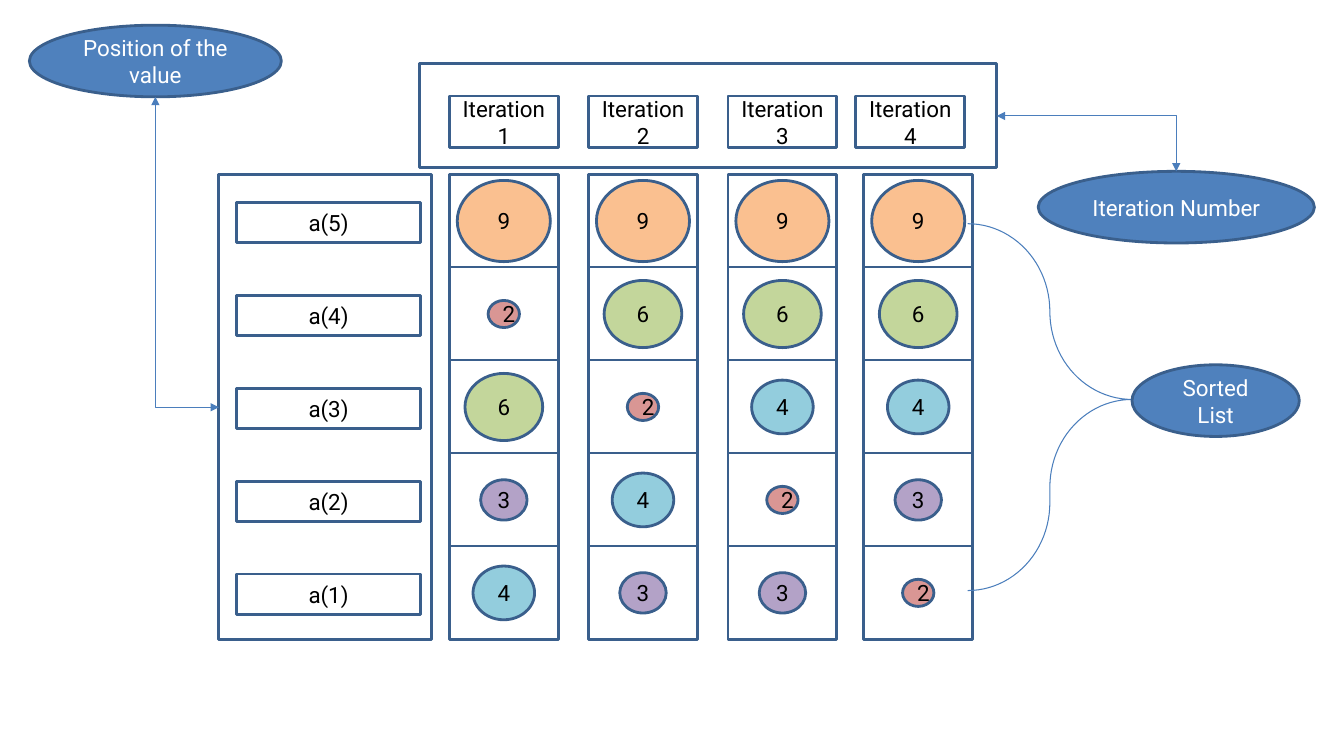
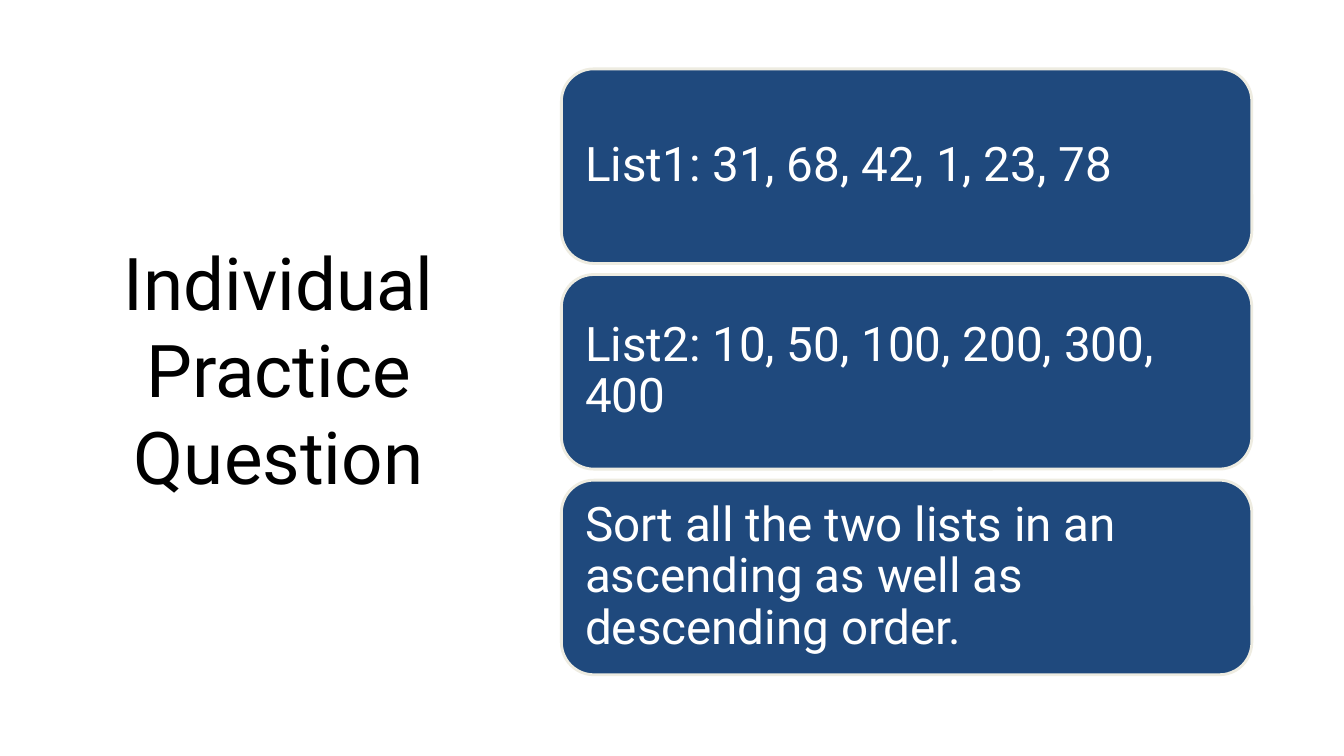
import lxml.etree
import pptx
import pptx.dml.color
import pptx.enum.shapes
import pptx.enum.text
import pptx.oxml.ns
import pptx.util

Pt = pptx.util.Pt
qn = pptx.oxml.ns.qn
SHAPE = pptx.enum.shapes.MSO_SHAPE
ALIGN = pptx.enum.text.PP_ALIGN

COLORS = {
    "black": "000000",
    "white": "FFFFFF",
    "outline": "3A5F8C",
    "callout": "4F81BD",
    "connector": "4B7EBC",
    "card": "1F497D",
    "card edge": "EEECE1",
    "orange": "FAC090",
    "green": "C3D69B",
    "aqua": "93CDDD",
    "purple": "B3A2C7",
    "red": "D99694",
}
FONT = "Roboto"


def rgb(name):
    return pptx.dml.color.RGBColor.from_string(COLORS[name])


def add_box(page, kind, frame, fill=None, line="outline", width=2, text="",
            size=16, color="black", align=ALIGN.CENTER, spacing=None, inset=None):
    """Add a shape at frame (left, top, width, height); None for fill or line leaves it out."""
    box = page.shapes.add_shape(kind, *[Pt(length) for length in frame])
    box.shadow.inherit = False
    if fill:
        box.fill.solid()
        box.fill.fore_color.rgb = rgb(fill)
    else:
        box.fill.background()
    if line:
        box.line.color.rgb = rgb(line)
        box.line.width = Pt(width)
    else:
        box.line.fill.background()
    if text:
        text_frame = box.text_frame
        text_frame.word_wrap = True
        text_frame.vertical_anchor = pptx.enum.text.MSO_ANCHOR.MIDDLE
        if inset is not None:
            for side in ("left", "top", "right", "bottom"):
                setattr(text_frame, f"margin_{side}", Pt(inset))
        para = text_frame.paragraphs[0]
        para.alignment = align
        para.line_spacing = spacing
        span = para.add_run()
        span.text = text
        span.font.color.rgb = rgb(color)
        for attribute, value in {"name": FONT, "size": Pt(size)}.items():
            setattr(span.font, attribute, value)
    return box


deck = pptx.Presentation()
deck.slide_width, deck.slide_height = Pt(960), Pt(540)
blank = deck.slide_layouts[6]

# Slide 1: sorting iterations
page = deck.slides.add_slide(blank)

cell_width, cell_height = 77.8, 67
grid_top, row_step = 124.4, 66.4
column_lefts = [321, 420.4, 520, 617]
header_lefts = column_lefts[:3] + [611.3]
iterations = [[9, 2, 6, 3, 4], [9, 6, 2, 4, 3], [9, 6, 4, 2, 3], [9, 6, 4, 3, 2]]
circles = {  # value: width, height, fill
    9: (66.5, 58, "orange"),
    6: (55.5, 48, "green"),
    4: (44, 38.4, "aqua"),
    3: (33.2, 28.8, "purple"),
    2: (22.4, 19.4, "red"),
}

for left, values in zip(column_lefts, iterations):
    for row in range(len(values)):
        add_box(page, SHAPE.RECTANGLE,
                (left, grid_top + row * row_step, cell_width, cell_height), "white")
    for row, value in enumerate(values):
        width, height, fill = circles[value]
        middle = grid_top + row * row_step + cell_height / 2
        add_box(page, SHAPE.OVAL,
                (left + (cell_width - width) / 2, middle - height / 2, width, height),
                fill, text=str(value))

label_height = 28.8
for row in range(5):
    middle = grid_top + row * row_step + cell_height / 2
    add_box(page, SHAPE.RECTANGLE, (169.2, middle - label_height / 2 + 1, 131, label_height),
            "white", text=f"a({5 - row})")

for number, left in enumerate(header_lefts, 1):
    add_box(page, SHAPE.RECTANGLE, (left, 68.6, cell_width, 36.8), "white",
            text=f"Iteration {number}")

for frame in [(299.5, 45.4, 412.5, 74.2), (156.4, 124.4, 152, 332.6)]:
    add_box(page, SHAPE.RECTANGLE, frame)

brace = add_box(page, SHAPE.LEFT_BRACE, (691.2, 159.8, 117.4, 262),
                line="connector", width=0.75)
brace.rotation = 180
brace.adjustments[0], brace.adjustments[1] = 0.585, 0.521

for text, frame in [
    ("Position of the value", (21, 18, 180, 51.2)),
    ("Iteration Number", (741.6, 122.4, 197.3, 51.2)),
    ("Sorted List", (808.6, 260.6, 119.5, 51.2)),
]:
    add_box(page, SHAPE.OVAL, frame, "callout", text=text, color="white")

# Each arrow runs horizontally first, then turns once
for ends in [(156.4, 290.9, 111, 69.2), (712, 82.8, 840.2, 122.4)]:
    arrow = page.shapes.add_connector(pptx.enum.shapes.MSO_CONNECTOR.ELBOW,
                                      *[Pt(length) for length in ends])
    arrow.line.color.rgb = rgb("connector")
    arrow.line.width = Pt(0.75)
    properties = arrow._element.spPr
    properties.find(qn("a:prstGeom")).set("prst", "bentConnector2")
    for tag in ("a:headEnd", "a:tailEnd"):
        lxml.etree.SubElement(properties.find(qn("a:ln")), qn(tag), type="triangle")
    lxml.etree.SubElement(properties, qn("a:effectLst"))

# Slide 2: practice question
page = deck.slides.add_slide(blank)
add_box(page, SHAPE.RECTANGLE, (66.2, 43.9, 265.7, 438.5), line=None,
        text="Individual Practice Question", size=52)

for index, text in enumerate([
    "List1: 31, 68, 42, 1, 23, 78",
    "List2: 10, 50, 100, 200, 300, 400",
    "Sort all the two lists in an ascending as well as descending order.",
]):
    add_box(page, SHAPE.ROUNDED_RECTANGLE, (401, 49.2 + index * 146.9, 493.2, 139),
            "card", line="card edge", text=text, size=34, color="white",
            align=ALIGN.LEFT, spacing=0.9, inset=10.2)

deck.save("out.pptx")
